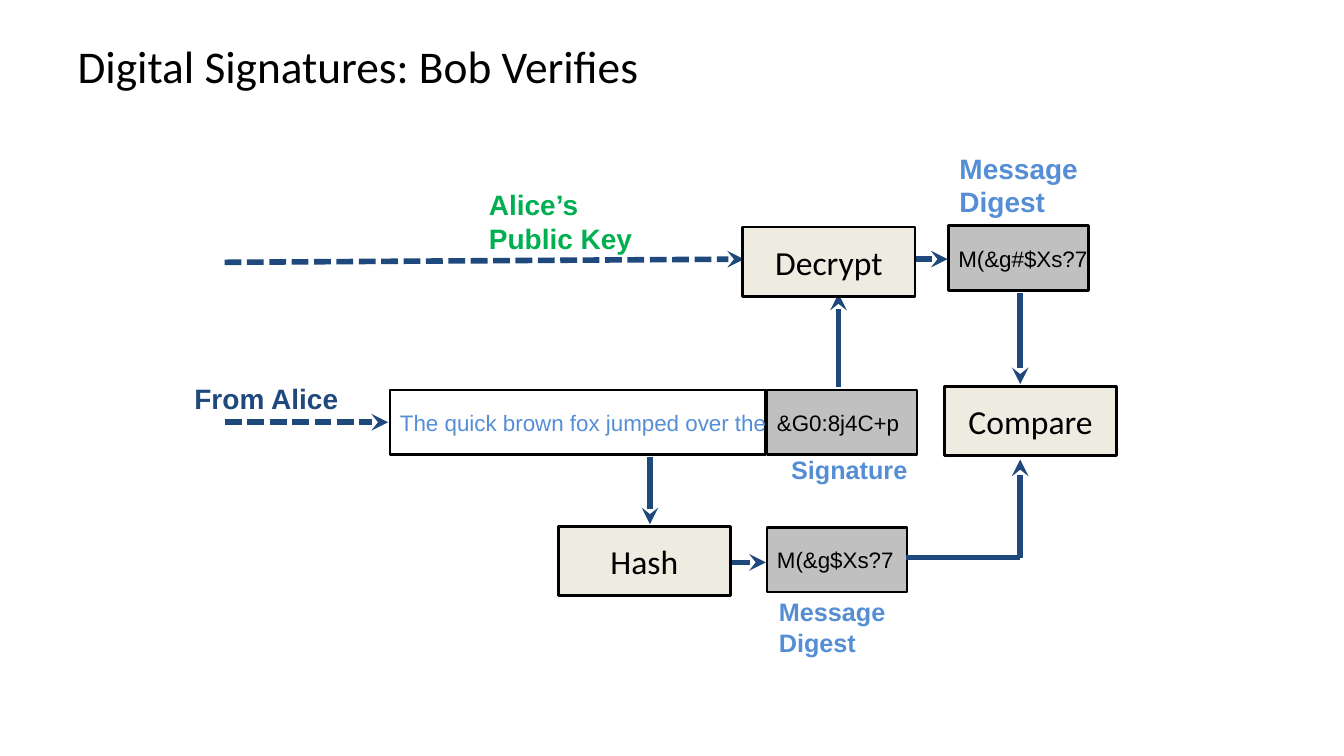
from pptx import Presentation
from pptx.dml.color import RGBColor
from pptx.enum.dml import MSO_LINE
from pptx.enum.shapes import MSO_CONNECTOR as Link, MSO_SHAPE as Preset
from pptx.enum.text import MSO_ANCHOR as Anchor, MSO_AUTO_SIZE as Fit, PP_ALIGN as Align
from pptx.oxml.ns import qn
from pptx.util import Cm, Pt
from lxml.etree import SubElement

NAVY, BLUE, GREEN = "1F497D", "558ED5", "00B050"
BLACK, WHITE, GREY, CREAM = "000000", "FFFFFF", "C0C0C0", "EEECE1"
STAGE_W, STAGE_H = 4.34, 1.75
FIELD_H, DIGEST_W = 1.63, 3.53


def rgb(value):
    """Turn a hex string into a colour."""
    return RGBColor.from_string(value)


def write(frame, text, size, color, font="Arial", bold=False, align=Align.LEFT):
    """Fill a text frame and format every run."""
    frame.text = text
    for paragraph in frame.paragraphs:
        paragraph.alignment = align
        for run in paragraph.runs:
            run.font.name, run.font.size, run.font.bold = font, Pt(size), bold
            run.font.color.rgb = rgb(color)


def add_box(slide, left, top, width, height, fill):
    """Add an outlined rectangle and return its text frame."""
    box = slide.shapes.add_shape(Preset.RECTANGLE, Cm(left), Cm(top), Cm(width), Cm(height))
    box.shadow.inherit = False
    box.fill.solid()
    box.fill.fore_color.rgb = rgb(fill)
    box.line.color.rgb = rgb(BLACK)
    box.line.width = Pt(2)
    box.text_frame.vertical_anchor = Anchor.MIDDLE
    box.text_frame.word_wrap = False
    return box.text_frame


def add_stage(slide, left, top, name):
    """Add one processing step."""
    frame = add_box(slide, left, top, STAGE_W, STAGE_H, CREAM)
    write(frame, name, 24, BLACK, "Calibri", align=Align.CENTER)


def add_field(slide, left, top, width, text, fill=GREY, color=BLACK):
    """Add a box that holds data."""
    write(add_box(slide, left, top, width, FIELD_H, fill), text, 16, color)


def add_label(slide, left, top, width, height, text, size, color):
    """Add a bold caption."""
    label = slide.shapes.add_textbox(Cm(left), Cm(top), Cm(width), Cm(height))
    label.text_frame.word_wrap = False
    label.text_frame.auto_size = Fit.NONE
    write(label.text_frame, text, size, color, bold=True)


def add_flow(slide, left, top, start, end, dashed=False, arrow=True):
    """Connect two points given relative to a region's corner."""
    (x1, y1), (x2, y2) = start, end
    flow = slide.shapes.add_connector(
        Link.STRAIGHT, Cm(left + x1), Cm(top + y1), Cm(left + x2), Cm(top + y2))
    flow.line.color.rgb = rgb(NAVY)
    flow.line.width = Pt(4)
    if dashed:
        flow.line.dash_style = MSO_LINE.SQUARE_DOT
    if arrow:
        SubElement(flow.line._get_or_add_ln(), qn("a:tailEnd"), type="stealth")
    SubElement(flow._element.spPr, qn("a:effectLst"))


def add_heading(slide, left, top, width, height):
    """Place the slide title."""
    title = slide.shapes.title
    title.left, title.top, title.width, title.height = Cm(left), Cm(top), Cm(width), Cm(height)
    title.text_frame.vertical_anchor = Anchor.MIDDLE
    write(title.text_frame, "Digital Signatures: Bob Verifies", 32.4, BLACK, "Calibri")


def add_message(slide, left, top):
    """Draw the signed message that arrives from Alice."""
    add_flow(slide, left, top, (1.02, 1.14), (5.13, 1.14), dashed=True)
    add_label(slide, left, top, 5.08, 1.12, "From Alice", 20, NAVY)
    add_field(slide, left + 5.18, top + 0.33, 9.47, "The quick brown fox jumped over the", WHITE, BLUE)
    add_field(slide, left + 14.68, top + 0.33, 3.78, "&G0:8j4C+p")
    add_label(slide, left + 15.04, top + 1.83, 3.48, 1.02, "Signature", 18, BLUE)


def add_hashing(slide, left, top):
    """Draw the hash step and the digest it yields."""
    add_flow(slide, left, top, (2.31, -1.75), (2.31, -0.05))
    add_flow(slide, left, top, (4.19, 0.91), (5.23, 0.91))
    add_field(slide, left + 5.26, top + 0.03, DIGEST_W, "M(&g$Xs?7")
    add_label(slide, left + 5.31, top + 1.65, 3.23, 1.8, "Message\vDigest", 18, BLUE)
    add_stage(slide, left, top, "Hash")


def add_decryption(slide, left, top):
    """Draw the decrypt step, its key and the digest it yields."""
    add_flow(slide, left, top, (2.41, 4.04), (2.41, 1.68))
    add_flow(slide, left, top, (-13.06, 0.89), (0.03, 0.81), dashed=True)
    add_flow(slide, left, top, (STAGE_W, 0.81), (5.16, 0.81))
    add_label(slide, left - 6.65, top - 1.12, 4.17, 1.96, "Alice’s\nPublic Key", 20, GREEN)
    add_field(slide, left + 5.18, top - 0.03, DIGEST_W, "M(&g#$Xs?7")
    add_label(slide, left + 5.21, top - 2.03, 3.53, 1.96, "Message\vDigest", 20, BLUE)
    add_stage(slide, left, top, "Decrypt")


def add_comparison(slide, left, top):
    """Draw the compare step and the two digests leading to it."""
    add_flow(slide, left, top, (-0.97, 4.32), (1.91, 4.32), arrow=False)
    add_flow(slide, left, top, (1.91, 4.34), (1.91, 1.85))
    add_flow(slide, left, top, (1.91, -2.34), (1.91, -0.05))
    add_stage(slide, left, top, "Compare")


def main():
    """Build and save the slide."""
    deck = Presentation()
    deck.slide_width, deck.slide_height = Cm(33.87), Cm(19.05)
    slide = deck.slides.add_slide(deck.slide_layouts[5])
    add_heading(slide, 1.7, 0.76, 30.48, 1.78)
    add_message(slide, 4.65, 9.5)
    add_hashing(slide, 14.07, 13.26)
    add_decryption(slide, 18.72, 5.72)
    add_comparison(slide, 23.8, 9.73)
    deck.save("out.pptx")


if __name__ == "__main__":
    main()
